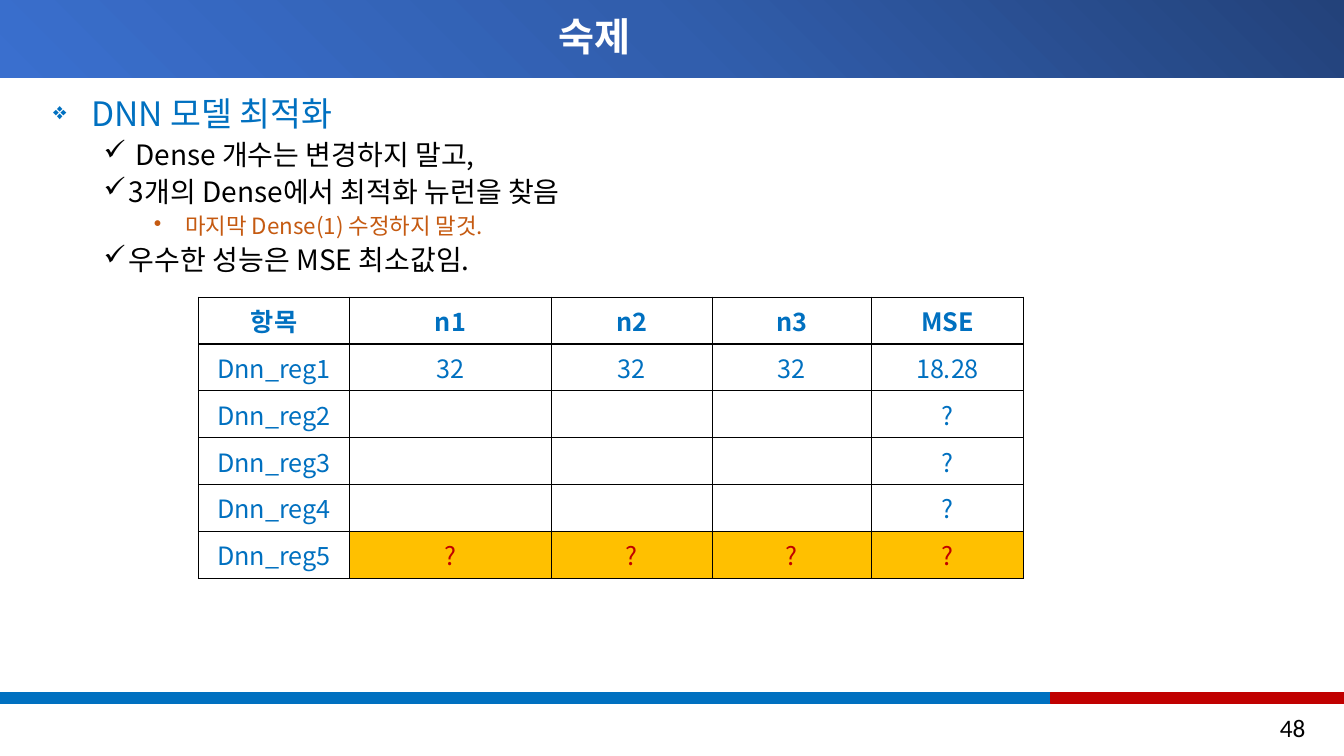
from dataclasses import dataclass

from lxml.etree import SubElement
from pptx import Presentation
from pptx.dml.color import RGBColor
from pptx.enum.shapes import MSO_SHAPE
from pptx.enum.text import MSO_ANCHOR, MSO_AUTO_SIZE, PP_ALIGN
from pptx.oxml import parse_xml
from pptx.oxml.ns import nsdecls, qn
from pptx.util import Cm, Pt


@dataclass(frozen=True)
class Theme:
    font: str = "Noto Sans CJK KR"
    number_font: str = "Calibri"
    blue: str = "0070C0"
    red: str = "C00000"
    orange: str = "C55A11"
    amber: str = "FFC000"
    black: str = "000000"
    white: str = "FFFFFF"
    header_stops: tuple = ((0, "23427A"), (50, "315EAD"), (100, "3A6FCE"))
    title: int = 28
    heading: int = 24
    item: int = 20
    table: int = 18
    detail: int = 16


T = Theme()


@dataclass(frozen=True)
class Level:
    bullet: str
    bullet_size: int
    left: float
    hanging: float
    before: int
    size: int
    color: str


LEVELS = (
    Level("❖", 70, 0.96, 0.96, 10, T.heading, T.blue),
    Level("✓", 100, 1.91, 0.64, 5, T.item, T.black),
    Level("•", 100, 3.33, 0.79, 5, T.detail, T.orange),
)


@dataclass(frozen=True)
class Item:
    level: int
    text: str


ITEMS = (
    Item(0, "DNN 모델 최적화"),
    Item(1, " Dense 개수는 변경하지 말고,"),
    Item(1, "3개의 Dense에서 최적화 뉴런을 찾음"),
    Item(2, "마지막 Dense(1) 수정하지 말것."),
    Item(1, "우수한 성능은 MSE 최소값임."),
)


@dataclass(frozen=True)
class Bar:
    left: float
    top: float
    width: float
    height: float
    color: str


HEADER = Bar(0, 0, 33.87, 1.96, T.header_stops[1][1])
FOOTER = (Bar(0, 17.45, 26.49, 0.28, T.blue), Bar(26.49, 17.45, 7.38, 0.28, T.red))

ROWS = (
    ("항목", "n1", "n2", "n3", "MSE"),
    ("Dnn_reg1", "32", "32", "32", "18.28"),
    *((f"Dnn_reg{n}", "", "", "", "?") for n in (2, 3, 4)),
    ("Dnn_reg5", "?", "?", "?", "?"),
)
COLUMN_WIDTHS = (3.81, 5.08, 4.06, 4.01, 3.84)
ROW_HEIGHT = 1.18


def add_run(p, text: str, size: int, color: str, bold: bool = False, font: str = T.font) -> None:
    r = p.add_run()
    r.text = text
    r.font.color.rgb = RGBColor.from_string(color)
    for name, value in {"size": Pt(size), "bold": bold, "name": font}.items():
        setattr(r.font, name, value)
    SubElement(r.font._element, qn("a:ea"), typeface=font)


def add_bar(s, bar: Bar):
    box = (Cm(v) for v in (bar.left, bar.top, bar.width, bar.height))
    sp = s.shapes.add_shape(MSO_SHAPE.RECTANGLE, *box)
    sp.shadow.inherit = False
    sp.fill.solid()
    sp.fill.fore_color.rgb = RGBColor.from_string(bar.color)
    sp.line.color.rgb = RGBColor.from_string(bar.color)
    sp.line.width = Pt(1)
    return sp


def add_header(s) -> None:
    """Bar with a circular gradient centred on its top right corner."""
    sp = add_bar(s, HEADER)
    sp.line.fill.background()
    stops = "".join(f'<a:gs pos="{pos * 1000}"><a:srgbClr val="{color}"/></a:gs>'
                    for pos, color in T.header_stops)
    gradient = parse_xml(
        f'<a:gradFill {nsdecls("a")} rotWithShape="1"><a:gsLst>{stops}</a:gsLst>'
        '<a:path path="circle"><a:fillToRect l="100000" b="100000"/></a:path></a:gradFill>')
    solid = sp.element.spPr.find(qn("a:solidFill"))
    solid.getparent().replace(solid, gradient)


def format_title(s) -> None:
    sp = s.shapes.title
    sp.element.getparent().append(sp.element)  # in front of the header bar
    box = {"left": Cm(1.09), "top": Cm(0), "width": Cm(28.02), "height": Cm(HEADER.height)}
    for name, value in box.items():
        setattr(sp, name, value)
    tf = sp.text_frame
    tf.auto_size, tf.vertical_anchor = MSO_AUTO_SIZE.NONE, MSO_ANCHOR.MIDDLE
    p = tf.paragraphs[0]
    p.alignment, p.line_spacing = PP_ALIGN.CENTER, 0.9
    add_run(p, "숙제 ", T.title, T.white, bold=True)


def add_items(s) -> None:
    tf = s.shapes.add_textbox(Cm(1.09), Cm(2.34), Cm(32.08), Cm(14.27)).text_frame
    tf.word_wrap = True
    for i, item in enumerate(ITEMS):
        level = LEVELS[item.level]
        p = tf.add_paragraph() if i else tf.paragraphs[0]
        p.level, p.line_spacing = item.level, 0.9
        p.space_before = Pt(level.before if i else 0)
        pPr = p._p.get_or_add_pPr()
        pPr.set("marL", str(Cm(level.left)))
        pPr.set("indent", str(-Cm(level.hanging)))
        SubElement(pPr, qn("a:buSzPct"), val=str(level.bullet_size * 1000))
        SubElement(pPr, qn("a:buChar"), char=level.bullet)
        add_run(p, item.text, level.size, level.color)


def add_borders(cell) -> None:
    tcPr = cell._tc.get_or_add_tcPr()
    for side in "LRTB":
        ln = SubElement(tcPr, qn(f"a:ln{side}"), w=str(Pt(1)))
        SubElement(SubElement(ln, qn("a:solidFill")), qn("a:srgbClr"), val=T.black)


def add_results(s) -> None:
    table = s.shapes.add_table(len(ROWS), len(COLUMN_WIDTHS), Cm(5), Cm(7.49),
                               Cm(sum(COLUMN_WIDTHS)), Cm(ROW_HEIGHT * len(ROWS))).table
    table.first_row = table.horz_banding = False
    for column, width in zip(table.columns, COLUMN_WIDTHS):
        column.width = Cm(width)
    for i, row in enumerate(ROWS):
        table.rows[i].height = Cm(ROW_HEIGHT)
        for j, text in enumerate(row):
            cell = table.cell(i, j)
            wanted = i == len(ROWS) - 1 and j > 0
            add_borders(cell)
            if wanted:
                cell.fill.solid()
                cell.fill.fore_color.rgb = RGBColor.from_string(T.amber)
            else:
                cell.fill.background()
            p = cell.text_frame.paragraphs[0]
            p.alignment = PP_ALIGN.CENTER
            if text:
                add_run(p, text, T.table, T.red if wanted else T.blue, bold=i == 0)


def add_page_number(s) -> None:
    tf = s.shapes.add_textbox(Cm(27.18), Cm(17.83), Cm(5.97), Cm(1.02)).text_frame
    tf.word_wrap = True
    p = tf.paragraphs[0]
    p.alignment = PP_ALIGN.RIGHT
    add_run(p, "48", T.table, T.black, font=T.number_font)


def main() -> None:
    prs = Presentation()
    prs.slide_width, prs.slide_height = Cm(33.87), Cm(19.05)
    s = prs.slides.add_slide(prs.slide_layouts[5])
    add_header(s)
    for bar in FOOTER:
        add_bar(s, bar)
    add_page_number(s)
    add_items(s)
    format_title(s)
    add_results(s)
    prs.save("out.pptx")


if __name__ == "__main__":
    main()
